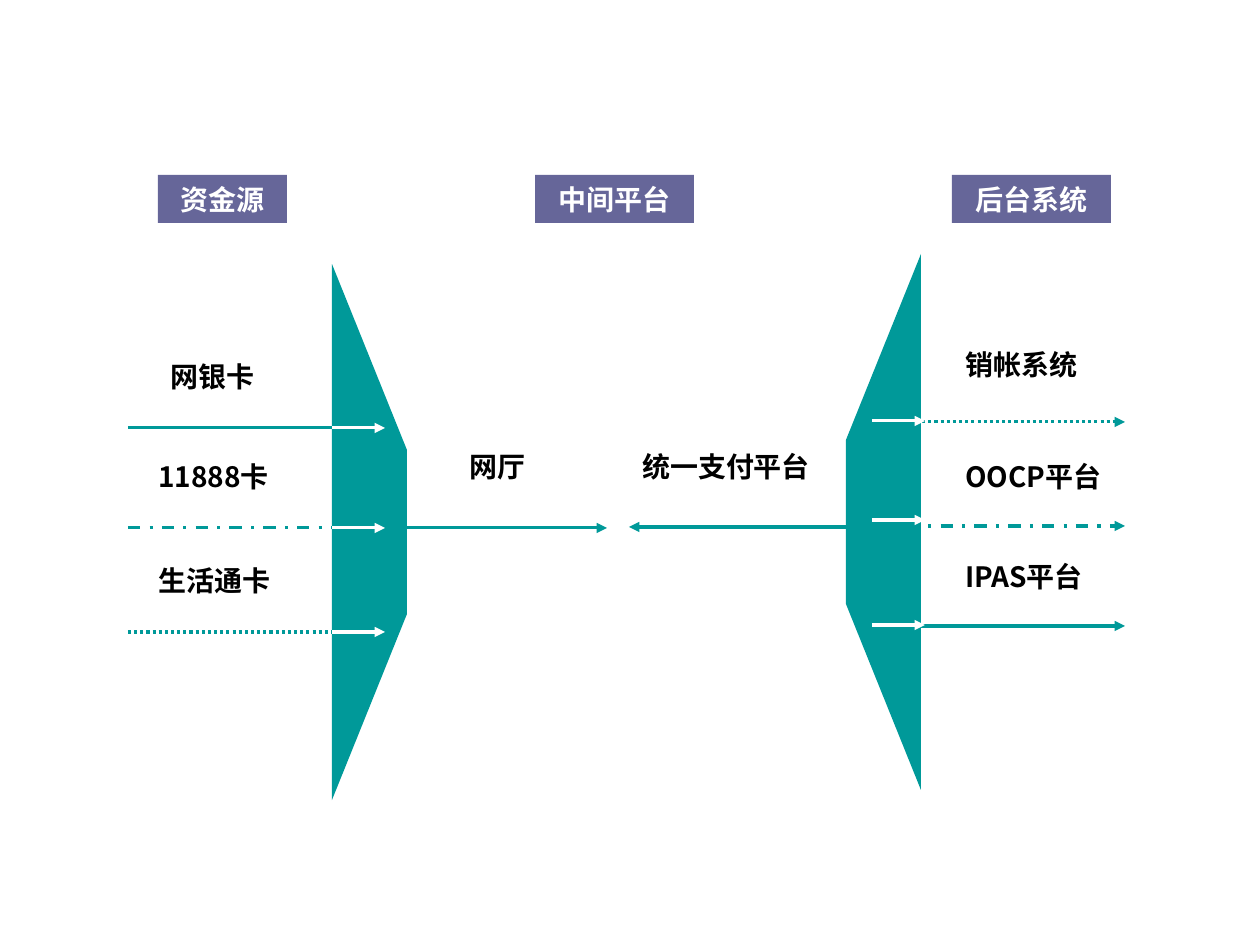
from dataclasses import dataclass

from lxml import etree
from pptx import Presentation
from pptx.dml.color import RGBColor
from pptx.enum.dml import MSO_LINE
from pptx.enum.shapes import MSO_CONNECTOR, MSO_SHAPE
from pptx.enum.text import MSO_ANCHOR, PP_ALIGN
from pptx.oxml.ns import qn
from pptx.util import Pt

STRAIGHT = MSO_CONNECTOR.STRAIGHT
RECT = MSO_SHAPE.RECTANGLE
DASH_DOT, DOT = MSO_LINE.DASH_DOT, MSO_LINE.ROUND_DOT
MIDDLE, TOP = MSO_ANCHOR.MIDDLE, MSO_ANCHOR.TOP
CENTER, LEFT = PP_ALIGN.CENTER, PP_ALIGN.LEFT
SCALE = 914400 / 126


@dataclass(frozen=True)
class Theme:
    teal = RGBColor(0x00, 0x99, 0x99)
    purple = RGBColor(0x66, 0x66, 0x99)
    white = RGBColor(0xFF, 0xFF, 0xFF)
    black = RGBColor(0x00, 0x00, 0x00)
    shadow = "808080"
    font = "Noto Sans CJK SC"
    size = Pt(16)
    leading = Pt(19.4)
    line = Pt(1.75)


THEME = Theme()


def px(*values):
    return [round(v * SCALE) for v in values]


def add_text_shadow(r):
    effects = etree.SubElement(r.font._element, qn("a:effectLst"))
    shadow = etree.SubElement(effects, qn("a:outerShdw"), dist="25400", dir="2700000")
    etree.SubElement(shadow, qn("a:srgbClr"), val=THEME.shadow)


def add_run(p, text, color, shadow=False):
    r = p.add_run()
    r.text = text
    r.font.size = THEME.size
    r.font.bold = True
    r.font.color.rgb = color
    if shadow:
        add_text_shadow(r)
    r.font.name = THEME.font
    etree.SubElement(r.font._element, qn("a:ea"), typeface=THEME.font)


def add_header(s, x, width, text):
    sp = s.shapes.add_shape(RECT, *px(x, 175, width, 48))
    sp.shadow.inherit = False
    sp.fill.solid()
    sp.fill.fore_color.rgb = THEME.purple
    sp.line.fill.background()
    tf = sp.text_frame
    tf.margin_top = tf.margin_bottom = 0
    tf.vertical_anchor = MIDDLE
    tf.paragraphs[0].alignment = CENTER
    add_run(tf.paragraphs[0], text, THEME.white)


def add_label(s, x, y, width, text):
    tf = s.shapes.add_textbox(*px(x, y, width, 47)).text_frame
    tf.word_wrap = True
    tf.vertical_anchor = TOP
    p = tf.paragraphs[0]
    p.alignment = LEFT
    p.line_spacing = THEME.leading
    add_run(p, text, THEME.black, shadow=True)


def add_arrow(s, x1, x2, y, color, dash=None):
    sp = s.shapes.add_connector(STRAIGHT, *px(x1, y, x2, y))
    sp.line.color.rgb = color
    sp.line.width = THEME.line
    if dash is not None:
        sp.line.dash_style = dash
    etree.SubElement(sp.line._get_or_add_ln(), qn("a:tailEnd"), type="triangle")
    etree.SubElement(sp._element.spPr, qn("a:effectLst"))


def add_funnel(s, wide_x, narrow_x, top):
    builder = s.shapes.build_freeform(wide_x, top, scale=SCALE)
    builder.add_line_segments(
        [(narrow_x, top + 186), (narrow_x, top + 350), (wide_x, top + 536)]
    )
    sp = builder.convert_to_shape()
    sp.shadow.inherit = False
    sp.fill.solid()
    sp.fill.fore_color.rgb = THEME.teal
    sp.line.fill.background()


def main():
    prs = Presentation()
    prs.slide_width, prs.slide_height = px(1260, 945)
    s = prs.slides.add_slide(prs.slide_layouts[6])

    sources = [(428, None), (528, DASH_DOT), (632, DOT)]
    systems = [(422, 421, DOT), (526, 520, DASH_DOT), (626, 625, None)]

    for y, dash in sources:
        add_arrow(s, 128, 380, y, THEME.teal, dash)
    for y, _, dash in systems:
        add_arrow(s, 873, 1125, y, THEME.teal, dash)
    add_arrow(s, 387, 607, 528, THEME.teal)
    add_arrow(s, 849, 629, 527, THEME.teal)

    add_funnel(s, 332, 407, 264)
    add_funnel(s, 921, 846, 254)

    for y, _ in sources:
        add_arrow(s, 332, 385, y, THEME.white)
    for _, y, _ in systems:
        add_arrow(s, 872, 925, y, THEME.white)

    for x, y, width, text in [
        (158, 353, 116, "网银卡"),
        (146, 453, 139, "11888卡"),
        (146, 557, 150, "生活通卡"),
        (457, 443, 92, "网厅"),
        (630, 443, 219, "统一支付平台"),
        (953, 341, 150, "销帐系统"),
        (953, 453, 173, "OOCP平台"),
        (953, 553, 173, "IPAS平台"),
    ]:
        add_label(s, x, y, width, text)

    for x, width, text in [
        (158, 129, "资金源"),
        (535, 159, "中间平台"),
        (952, 159, "后台系统"),
    ]:
        add_header(s, x, width, text)

    prs.save("out.pptx")


if __name__ == "__main__":
    main()
